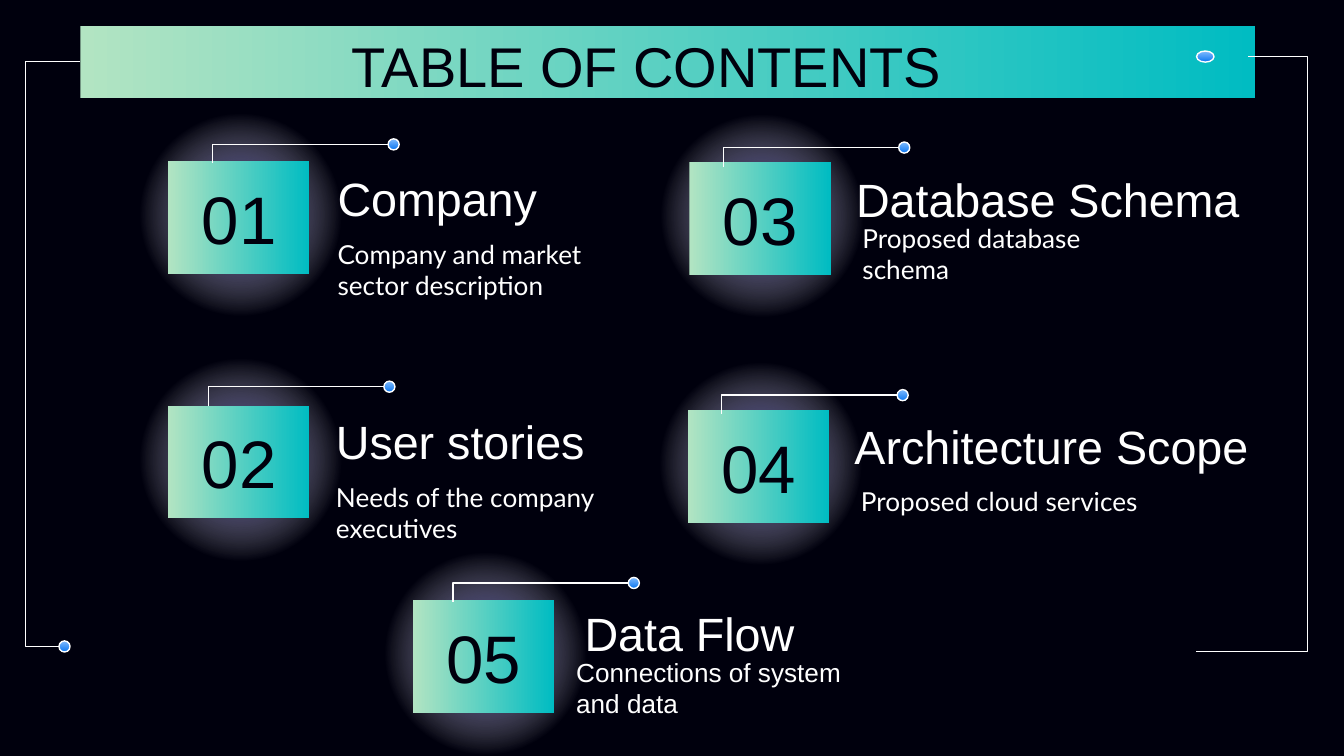
from collections import namedtuple

from lxml.etree import SubElement
from pptx import Presentation
from pptx.dml.color import RGBColor
from pptx.enum.shapes import MSO_CONNECTOR as Link, MSO_SHAPE as Preset
from pptx.enum.text import MSO_ANCHOR as Anchor, PP_ALIGN as Align
from pptx.oxml import parse_xml
from pptx.oxml.ns import nsdecls, qn
from pptx.util import Cm, Pt

COLORS = {
    "night": "00000D", "white": "FFFFFF", "mint": "B2E4C2", "teal": "00BCC2",
    "sky": "82BCFE", "blue": "0C77F1", "indigo": "170F8D",
}
LINEAR_RIGHT = '<a:lin ang="0" scaled="0"/>'
LINEAR_DOWN = '<a:lin ang="5400000" scaled="0"/>'
RADIAL = ('<a:path path="circle"><a:fillToRect l="50000" t="50000" '
          'r="50000" b="50000"/></a:path>')
BANNER_STOPS = [(0, "mint", 100), (100, "teal", 100)]
DOT_STOPS = [(0, "sky", 100), (100, "blue", 100)]
GLOW_STOPS = [(0, "indigo", 100), (61, "white", 0), (100, "white", 0)]
DOT = 0.21

# Offsets are in cm from the top left corner of the card's number tile
Card = namedtuple("Card", "number left top heading heading_at heading_width "
                          "detail detail_at detail_font hook_at")
CARDS = [
    Card("01", 3.18, 3.05, "Company", (2.95, -0.05), 6.83,
         "Company and market sector description", (2.95, 1.37), "Lato", (0.84, -0.32)),
    Card("02", 3.18, 7.67, "User stories", (2.92, -0.07), 6.83,
         "Needs of the company executives", (2.92, 1.35), "Lato", (0.76, -0.36)),
    Card("03", 13.03, 3.07, "Database Schema", (2.9, -0.05), 9.09,
         "Proposed database schema", (3.02, 1.05), "Lato", (0.64, -0.28)),
    Card("04", 13, 7.75, "Architecture Scope", (2.9, -0.05), 9.09,
         "Proposed cloud services", (3.02, 1.05), "Lato", (0.64, -0.28)),
    Card("05", 7.8, 11.35, "Data Flow", (3, -0.12), 6.83,
         "Connections of system and data", (2.84, 0.97), "Arial", (0.76, -0.33)),
]


def rgb(name):
    return RGBColor.from_string(COLORS[name])


def add_gradient_shape(slide, preset, box, stops, direction):
    shape = slide.shapes.add_shape(preset, *map(Cm, box))
    shape.shadow.inherit = False
    shape.line.fill.background()
    shape.fill.gradient()
    stop_xml = "".join(
        f'<a:gs pos="{position * 1000}"><a:srgbClr val="{COLORS[color]}">'
        f'<a:alpha val="{opacity * 1000}"/></a:srgbClr></a:gs>'
        for position, color, opacity in stops)
    gradient = parse_xml(f'<a:gradFill {nsdecls("a")} rotWithShape="1">'
                         f'<a:gsLst>{stop_xml}</a:gsLst>{direction}</a:gradFill>')
    properties = shape._element.spPr
    properties.replace(properties.find(qn("a:gradFill")), gradient)
    return shape


def add_dot(slide, center_x, center_y, width=DOT):
    box = (center_x - width / 2, center_y - DOT / 2, width, DOT)
    dot = add_gradient_shape(slide, Preset.OVAL, box, DOT_STOPS, LINEAR_DOWN)
    dot.line.color.rgb = rgb("white")
    dot.line.width = Pt(0.75)


def add_elbow(slide, begin, end, rail_x=None):
    """Bend once, or twice along a vertical rail when rail_x is given."""
    elbow = slide.shapes.add_connector(Link.ELBOW, *map(Cm, begin + end))
    elbow.line.color.rgb = rgb("white")
    elbow.line.width = Pt(0.75)
    properties = elbow._element.spPr
    SubElement(properties, qn("a:effectLst"))
    geometry = properties.find(qn("a:prstGeom"))
    if rail_x is None:
        geometry.set("prst", "bentConnector2")
    else:
        bend = round((rail_x - begin[0]) / (end[0] - begin[0]) * 100000)
        SubElement(geometry.find(qn("a:avLst")), qn("a:gd"),
                   name="adj1", fmla=f"val {bend}")


def add_label(slide, box, text, size, color, font="Arial",
              align=Align.LEFT, anchor=Anchor.MIDDLE):
    frame = slide.shapes.add_textbox(*map(Cm, box)).text_frame
    frame.word_wrap = True
    frame.vertical_anchor = anchor
    frame.margin_left = frame.margin_right = Cm(0.25)
    frame.margin_top = frame.margin_bottom = Cm(0.25)
    frame.text = text
    paragraph = frame.paragraphs[0]
    paragraph.alignment = align
    letters = paragraph.runs[0].font
    letters.name, letters.size = font, Pt(size)
    letters.color.rgb = rgb(color)


def add_banner(slide, left, top, width, height):
    add_gradient_shape(slide, Preset.RECTANGLE, (left, top, width, height),
                       BANNER_STOPS, LINEAR_RIGHT)
    add_label(slide, (left, top - 0.15, width - 0.79, height + 0.25),
              "TABLE OF CONTENTS", 30, "night", align=Align.CENTER, anchor=Anchor.TOP)


def add_frame(slide, left, top, width, height):
    right, bottom = left + width, top + height
    # Left rail
    add_elbow(slide, (left + 0.64, bottom - 0.1), (left + 1.04, top + 0.1), left)
    add_dot(slide, left + 0.74, bottom - 0.1)
    # Right rail
    add_elbow(slide, (right - 1.12, top), (right - 2.11, bottom), right)
    add_dot(slide, right - 1.93, top, 0.33)


def add_card(slide, card):
    left, top = card.left, card.top

    def place(offset, width, height):
        return left + offset[0], top + offset[1], width, height

    # Glow and number tile
    add_gradient_shape(slide, Preset.OVAL, place((-0.88, -1.16), 4.5, 4.34),
                       GLOW_STOPS, RADIAL)
    add_gradient_shape(slide, Preset.RECTANGLE, place((0, 0), 2.67, 2.13),
                       BANNER_STOPS, LINEAR_RIGHT)
    add_label(slide, place((0.22, 0.33), 2.24, 1.47), card.number, 36, "night",
              align=Align.CENTER)
    # Heading and detail
    add_label(slide, place(card.heading_at, card.heading_width, 1.47),
              card.heading, 25, "white")
    add_label(slide, place(card.detail_at, 6.15, 1.35),
              card.detail, 14, "white", card.detail_font)
    # Hook with its dot
    hook_x, hook_y = left + card.hook_at[0], top + card.hook_at[1]
    add_elbow(slide, (hook_x + 3.4, hook_y), (hook_x, hook_y + 0.36))
    add_dot(slide, hook_x + 3.42, hook_y)


def main():
    deck = Presentation()
    deck.slide_width, deck.slide_height = Cm(25.4), Cm(14.29)
    slide = deck.slides.add_slide(deck.slide_layouts[6])
    slide.background.fill.solid()
    slide.background.fill.fore_color.rgb = rgb("night")

    add_banner(slide, 1.52, 0.5, 22.2, 1.35)
    add_frame(slide, 0.48, 1.07, 24.23, 11.25)
    for card in CARDS:
        add_card(slide, card)
    deck.save("out.pptx")


if __name__ == "__main__":
    main()
